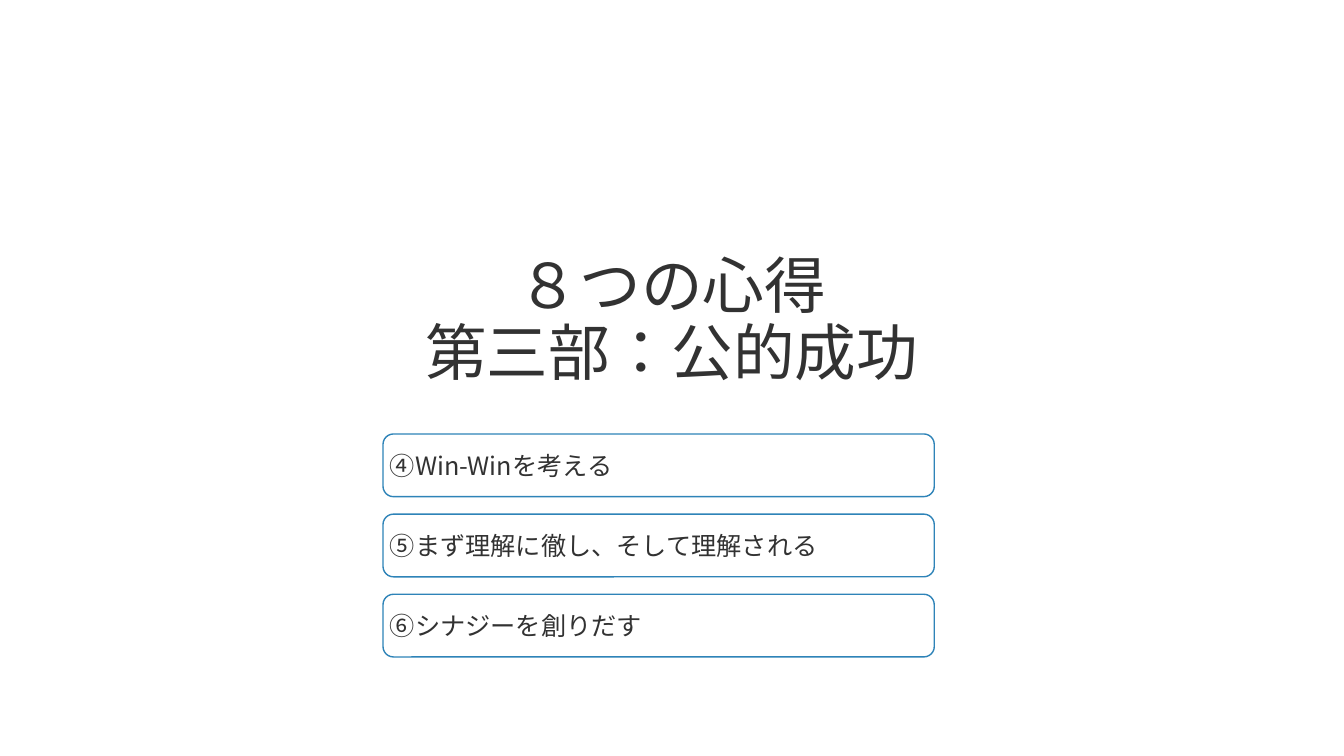
"""Build the title slide for part three of the eight precepts."""
from dataclasses import dataclass

from lxml import etree
from pptx import Presentation
from pptx.dml.color import RGBColor
from pptx.enum.lang import MSO_LANGUAGE_ID
from pptx.enum.shapes import MSO_SHAPE
from pptx.enum.text import MSO_ANCHOR, MSO_AUTO_SIZE, PP_ALIGN
from pptx.oxml.ns import qn
from pptx.slide import Slide
from pptx.text.text import TextFrame, _Paragraph
from pptx.util import Pt

FONT = "Noto Sans CJK JP"
INK = "323232"
BORDER = "2E83B8"
PAPER = "FFFFFF"
PRECEPT_LEFT, FIRST_PRECEPT_TOP = 273.6, 310
PRECEPT_WIDTH, PRECEPT_HEIGHT, PRECEPT_PITCH = 393.8, 44.8, 57.25
PRECEPT_INSET = 2.7


@dataclass(frozen=True)
class Precept:
    position: int
    wording: str

    @property
    def top(self) -> float:
        return FIRST_PRECEPT_TOP + self.position * PRECEPT_PITCH


PRECEPTS = [
    Precept(0, "④Win-Winを考える"),
    Precept(1, "⑤まず理解に徹し、そして理解される"),
    Precept(2, "⑥シナジーを創りだす"),
]
TITLE_LINES = ["８つの心得", "第三部：公的成功"]


def colour(value: str) -> RGBColor:
    return RGBColor.from_string(value)


def add_run(paragraph: _Paragraph, wording: str, size: float) -> None:
    run = paragraph.add_run()
    run.text = wording
    run.font.name = FONT
    run.font.size = Pt(size)
    run.font.color.rgb = colour(INK)
    run.font.language_id = MSO_LANGUAGE_ID.JAPANESE
    east_asian = etree.Element(qn("a:ea"), typeface=FONT)
    run.font._element.find(qn("a:latin")).addnext(east_asian)


def prepare_frame(frame: TextFrame, alignment: PP_ALIGN) -> _Paragraph:
    frame.word_wrap = True
    frame.auto_size = MSO_AUTO_SIZE.NONE
    frame.vertical_anchor = MSO_ANCHOR.MIDDLE
    paragraph = frame.paragraphs[0]
    paragraph.alignment = alignment
    return paragraph


def fill_title(slide: Slide) -> None:
    title = slide.shapes.title
    title.left, title.top = Pt(85), Pt(164.2)
    title.width, title.height = Pt(790), Pt(131.8)
    paragraph = prepare_frame(title.text_frame, PP_ALIGN.CENTER)
    paragraph.line_spacing = 0.9
    for number, line in enumerate(TITLE_LINES):
        if number:
            paragraph.add_line_break()
        add_run(paragraph, line, 44)


def add_precept(slide: Slide, precept: Precept) -> None:
    box = slide.shapes.add_shape(
        MSO_SHAPE.ROUNDED_RECTANGLE,
        Pt(PRECEPT_LEFT), Pt(precept.top), Pt(PRECEPT_WIDTH), Pt(PRECEPT_HEIGHT),
    )
    box.shadow.inherit = False
    box.fill.solid()
    box.fill.fore_color.rgb = colour(PAPER)
    box.line.color.rgb = colour(BORDER)
    box.line.width = Pt(1)
    frame = box.text_frame
    frame.margin_left = frame.margin_right = Pt(PRECEPT_INSET)
    frame.margin_top = frame.margin_bottom = Pt(PRECEPT_INSET)
    add_run(prepare_frame(frame, PP_ALIGN.JUSTIFY), precept.wording, 18)


def main() -> None:
    presentation = Presentation()
    presentation.slide_width, presentation.slide_height = Pt(960), Pt(540)
    slide = presentation.slides.add_slide(presentation.slide_layouts[5])
    slide.background.fill.solid()
    slide.background.fill.fore_color.rgb = colour(PAPER)
    fill_title(slide)
    for precept in PRECEPTS:
        add_precept(slide, precept)
    presentation.save("out.pptx")


if __name__ == "__main__":
    main()
